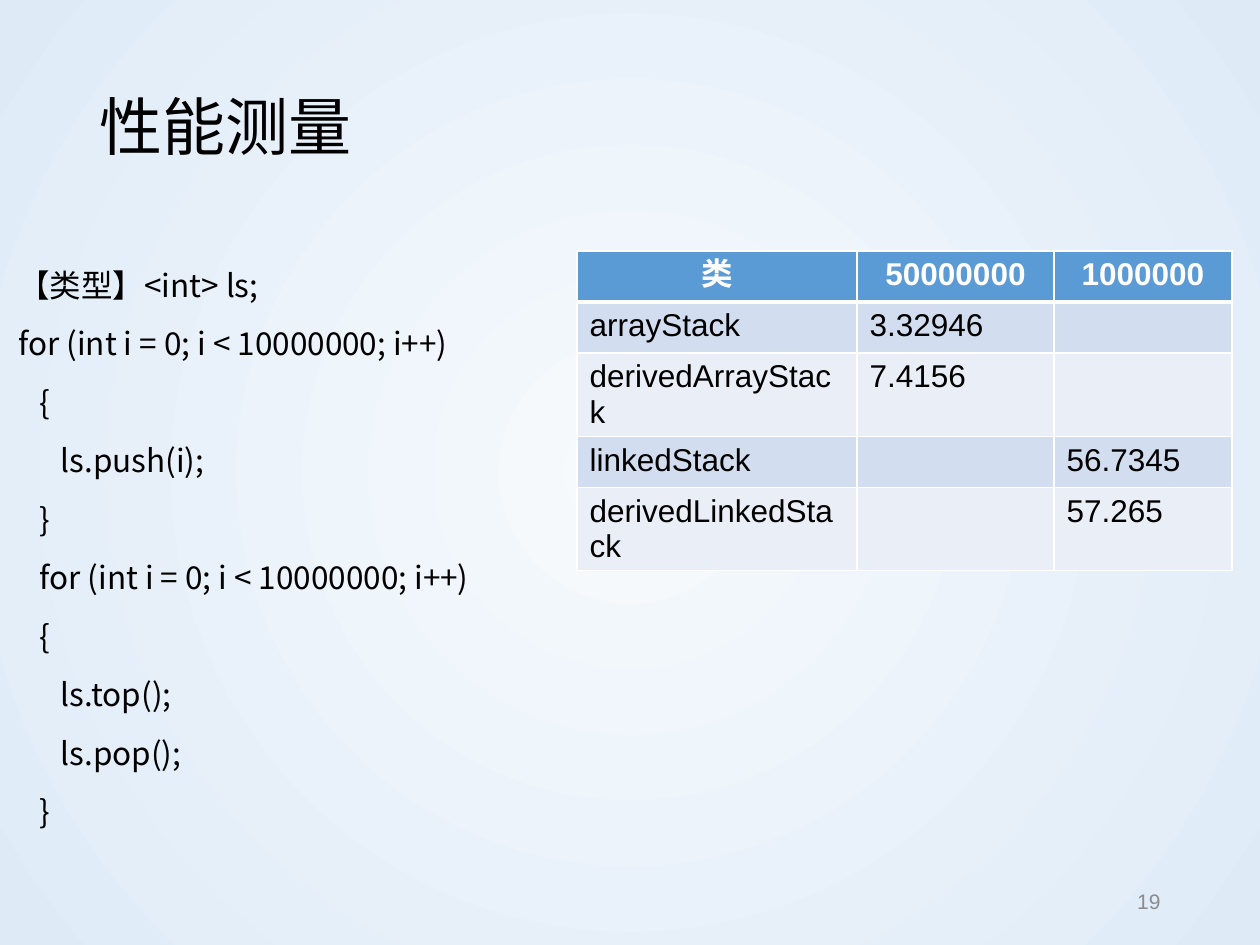
import pptx
import pptx.dml.color
import pptx.enum.text
import pptx.oxml
import pptx.oxml.ns
import pptx.util
from dataclasses import dataclass

PX = 914400 / 126  # EMU in one px
Align = pptx.enum.text.PP_ALIGN
Anchor = pptx.enum.text.MSO_ANCHOR
AutoSize = pptx.enum.text.MSO_AUTO_SIZE


@dataclass(frozen=True)
class Theme:
    cjk: str = "Noto Sans CJK SC"
    latin: str = "Arial"
    ink: str = "000000"
    white: str = "FFFFFF"
    muted: str = "8C8C8C"
    header: str = "5B9BD5"
    bands: tuple = ("D2DEEF", "EAEFF7")
    background: tuple = ("F7FAFD", "DEEBF7")
    title_size: int = 36
    body_size: int = 18
    number_size: int = 12


THEME = Theme()

CODE = """【类型】<int> ls;
for (int i = 0; i < 10000000; i++)
   {
      ls.push(i);
   }
   for (int i = 0; i < 10000000; i++)
   {
      ls.top();
      ls.pop();
   }"""

TIMINGS = [
    ("类", "50000000", "1000000"),
    ("arrayStack", "3.32946", ""),
    ("derivedArrayStack", "7.4156", ""),
    ("linkedStack", "", "56.7345"),
    ("derivedLinkedStack", "", "57.265"),
]


def px(length):
    return pptx.util.Emu(round(length * PX))


def rgb(value):
    return pptx.dml.color.RGBColor.from_string(value)


def element(xml):
    return pptx.oxml.parse_xml(xml.replace(">", f" {pptx.oxml.ns.nsdecls('a')}>", 1))


def write_text(frame, text, font=THEME.latin, size=THEME.body_size, color=THEME.ink,
               bold=False, align=Align.LEFT, line_spacing=None, space_before=0):
    for index, line in enumerate(text.split("\n")):
        paragraph = frame.paragraphs[0] if index == 0 else frame.add_paragraph()
        paragraph.alignment = align
        paragraph.line_spacing = line_spacing
        if index and space_before:
            paragraph.space_before = pptx.util.Pt(space_before)
        run = paragraph.add_run()
        run.text = line
        run.font.name = font
        run.font.size = pptx.util.Pt(size)
        run.font.bold = bold
        run.font.color.rgb = rgb(color)
        run.font._element.append(element(f'<a:ea typeface="{font}"></a:ea>'))


def add_text(slide, box, text, anchor=Anchor.TOP, auto_size=AutoSize.NONE, **text_format):
    frame = slide.shapes.add_textbox(*map(px, box)).text_frame
    frame.word_wrap = True
    frame.auto_size = auto_size
    frame.vertical_anchor = anchor
    write_text(frame, text, **text_format)


def paint_background(slide):
    fill = slide.background.fill
    fill.gradient()
    for stop, color, position in zip(fill.gradient_stops, THEME.background, (0, 1)):
        stop.color.rgb = rgb(color)
        stop.position = position
    # Turn the linear gradient into a circular one
    linear = next(slide._element.iter(pptx.oxml.ns.qn("a:lin")))
    linear.getparent().replace(linear, element(
        '<a:path path="circle">'
        '<a:fillToRect l="50000" t="50000" r="50000" b="50000"/></a:path>'))


def add_title(slide, box):
    add_text(slide, box, "性能测量", anchor=Anchor.MIDDLE, font=THEME.cjk,
             size=THEME.title_size, line_spacing=1.2)


def add_code(slide, box):
    add_text(slide, box, CODE, auto_size=AutoSize.TEXT_TO_FIT_SHAPE, font=THEME.cjk,
             line_spacing=1.2, space_before=7.5)


def set_borders(cell, bottom_width):
    properties = cell._tc.get_or_add_tcPr()
    widths = {"L": 1, "R": 1, "T": 1, "B": bottom_width}
    for index, (side, width) in enumerate(widths.items()):
        properties.insert(index, element(
            f'<a:ln{side} w="{pptx.util.Pt(width)}"><a:solidFill>'
            f'<a:srgbClr val="{THEME.white}"/></a:solidFill></a:ln{side}>'))


def add_timings(slide, box, column_widths, row_heights):
    table = slide.shapes.add_table(len(TIMINGS), len(TIMINGS[0]), *map(px, box)).table
    for column, width in zip(table.columns, column_widths):
        column.width = px(width)
    for row_index, (row, height) in enumerate(zip(table.rows, row_heights)):
        row.height = px(height)
        is_header = row_index == 0
        for cell, text in zip(row.cells, TIMINGS[row_index]):
            cell.fill.solid()
            cell.fill.fore_color.rgb = rgb(
                THEME.header if is_header else THEME.bands[(row_index - 1) % 2])
            set_borders(cell, 3 if is_header else 1)
            if text:
                write_text(cell.text_frame, text, bold=is_header,
                           color=THEME.white if is_header else THEME.ink,
                           align=Align.CENTER if is_header else Align.LEFT)


def add_slide_number(slide, box):
    add_text(slide, box, "19", anchor=Anchor.MIDDLE, size=THEME.number_size,
             color=THEME.muted, align=Align.RIGHT)


def main():
    presentation = pptx.Presentation()
    presentation.slide_width = px(1260)
    presentation.slide_height = px(945)
    slide = presentation.slides.add_slide(presentation.slide_layouts[6])

    paint_background(slide)
    add_title(slide, (87, 50, 1086, 136))
    add_code(slide, (6, 252, 655, 600))
    add_timings(slide, (577, 251, 655, 250), (280, 197, 178), (51, 42, 51, 51, 51))
    add_slide_number(slide, (890, 876, 283, 50))

    presentation.save("out.pptx")


if __name__ == "__main__":
    main()
